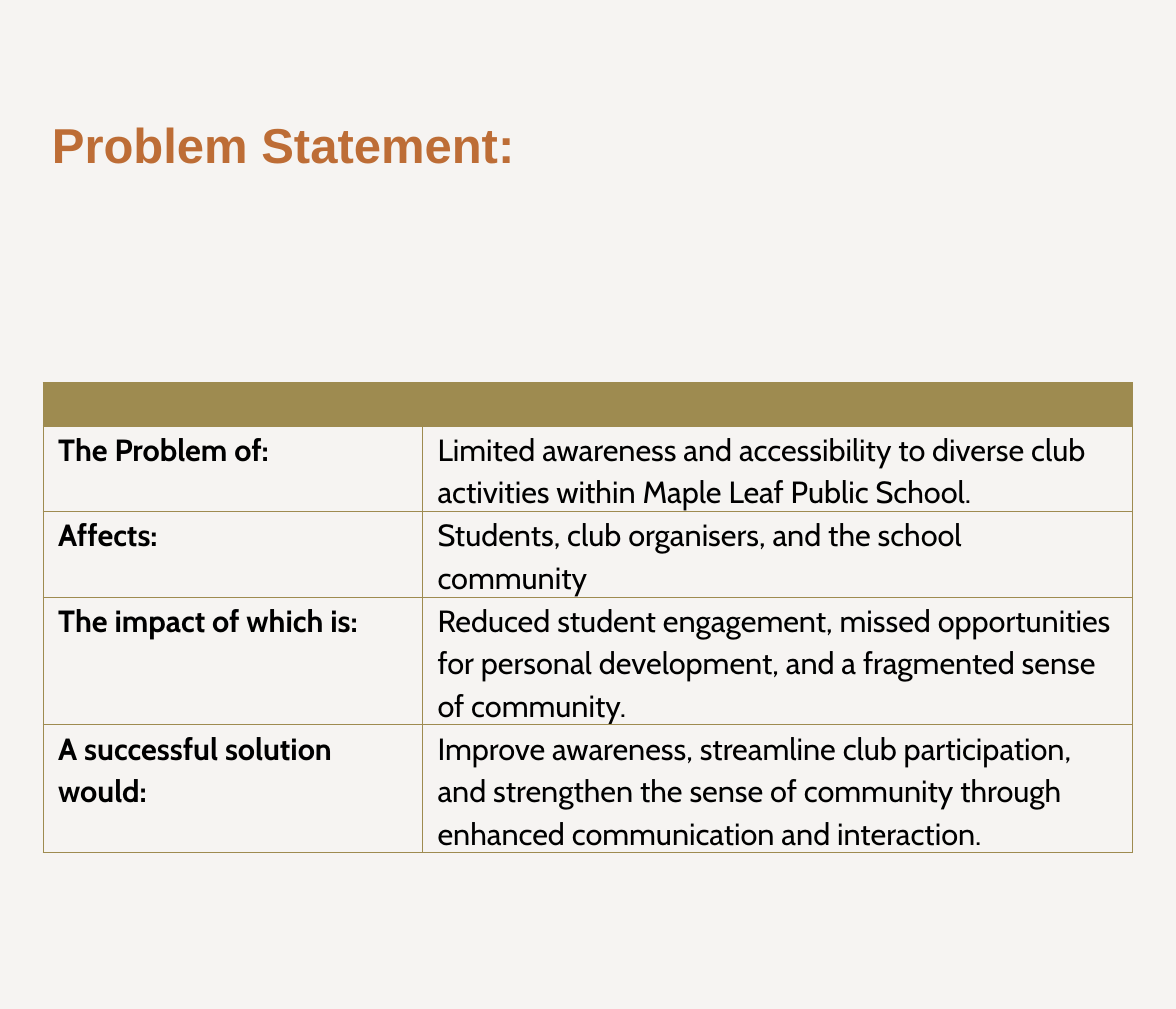
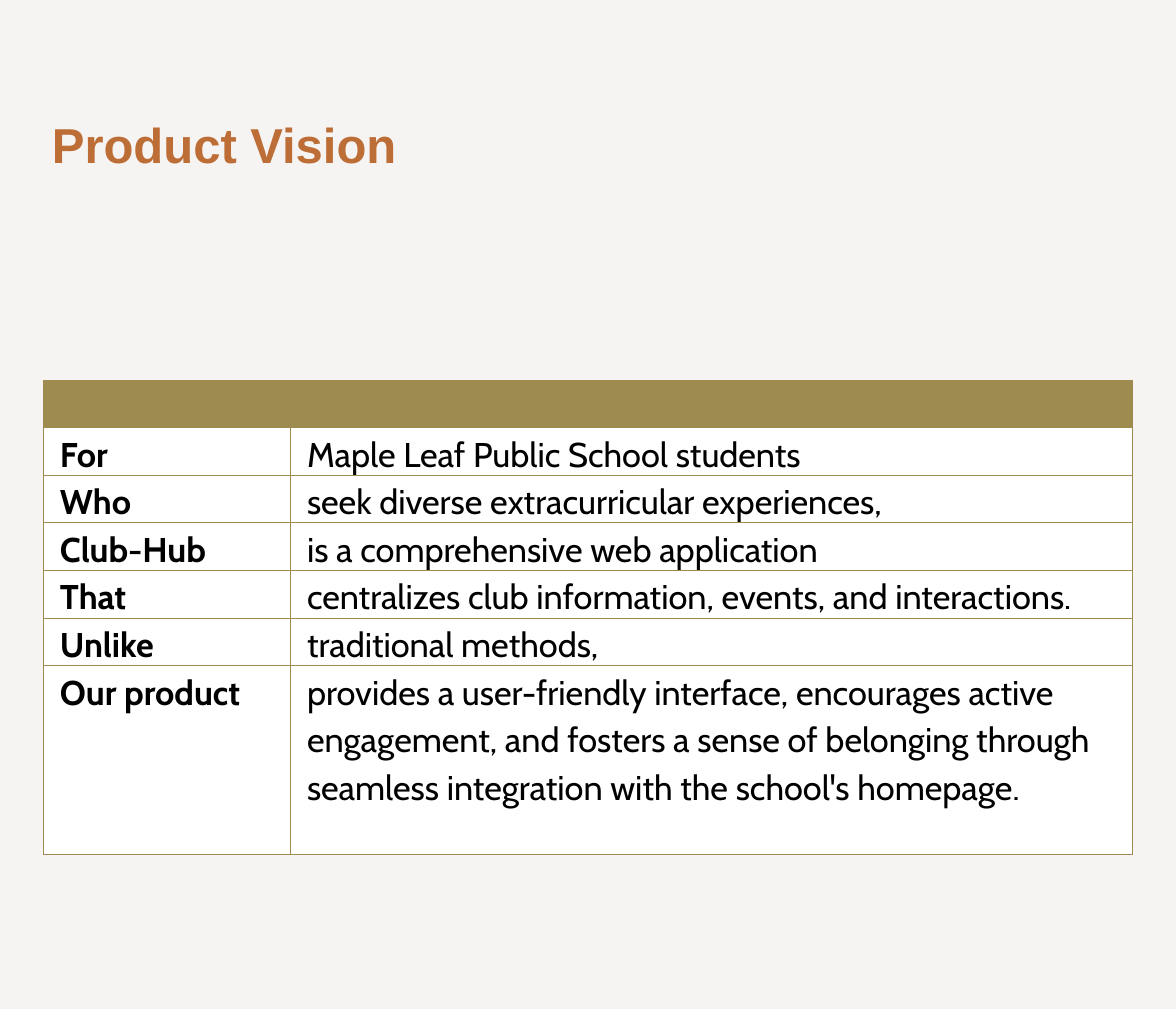
from lxml import etree
from pptx import Presentation
from pptx import util as u
from pptx.dml import color
from pptx.enum import text
from pptx.oxml import ns

PAPER, RUST, GOLD, INK, WHITE = "F6F4F2", "BD6D36", "9E8B50", "000000", "FFFFFF"
LEFT, WIDTH = 0.49, 12.35

PROBLEM = [
    ("The Problem of:",
     "Limited awareness and accessibility to diverse club activities within Maple Leaf Public School."),
    ("Affects:", "Students, club organisers, and the school community"),
    ("The impact of which is:",
     "Reduced student engagement, missed opportunities for personal development, "
     "and a fragmented sense of community."),
    ("A successful solution would:",
     "Improve awareness, streamline club participation, and strengthen the sense of community "
     "through enhanced communication and interaction."),
]
VISION = [
    ("For", "Maple Leaf Public School students"),
    ("Who", "seek diverse extracurricular experiences,"),
    ("Club-Hub", "is a comprehensive web application"),
    ("That", "centralizes club information, events, and interactions."),
    ("Unlike", "traditional methods,"),
    ("Our product",
     "provides a user-friendly interface, encourages active engagement, and fosters a sense of "
     "belonging through seamless integration with the school's homepage."),
]


def paint(fill, code):
    fill.solid()
    fill.fore_color.rgb = color.RGBColor.from_string(code)


def write(para, words, size, face, code, bold):
    run = para.add_run()
    run.text = words
    font = run.font
    font.size, font.name, font.bold = u.Pt(size), face, bold
    paint(font.fill, code)


def add_title(slide, words):
    box = slide.shapes.add_textbox(*map(u.Inches, (LEFT, 0.66, WIDTH, 1.36)))
    frame = box.text_frame
    frame.word_wrap = True
    frame.vertical_anchor = text.MSO_ANCHOR.BOTTOM
    write(frame.paragraphs[0], words, 40, "Arial", RUST, True)


def add_edges(cell):
    props = cell._tc.get_or_add_tcPr()
    for side in ("lnL", "lnR", "lnT", "lnB"):
        line = etree.SubElement(props, ns.qn("a:" + side), w=str(u.Pt(1)))
        fill = etree.SubElement(line, ns.qn("a:solidFill"))
        etree.SubElement(fill, ns.qn("a:srgbClr"), val=GOLD)


def fill_cell(cell, words, size, inset, bold):
    cell.margin_left = cell.margin_right = u.Inches(inset)
    cell.margin_top = cell.margin_bottom = 0
    para = cell.text_frame.paragraphs[0]
    para.line_spacing = 1.15
    para.space_after = u.Pt(10)
    write(para, words, size, "Cabin", INK, bold)


def add_grid(slide, pairs, top, first, heights, size, inset, back=None):
    frame = slide.shapes.add_table(
        len(heights), 2, *map(u.Inches, (LEFT, top, WIDTH, sum(heights))))
    table = frame.table
    table.first_row = table.horz_banding = False
    for col, width in zip(table.columns, (first, WIDTH - first)):
        col.width = u.Inches(width)
    for row, height in zip(table.rows, heights):
        row.height = u.Inches(height)
    for cell in table.iter_cells():
        add_edges(cell)
        if back:
            paint(cell.fill, back)
        else:
            cell.fill.background()
    for cell in table.rows[0].cells:
        paint(cell.fill, GOLD)
    for r, pair in enumerate(pairs, 1):
        for c, words in enumerate(pair):
            fill_cell(table.cell(r, c), words, size, inset, c == 0)


def add_page(deck, title):
    slide = deck.slides.add_slide(deck.slide_layouts[6])
    add_title(slide, title)
    return slide


def main():
    deck = Presentation()
    deck.slide_width, deck.slide_height = u.Inches(13.33), u.Inches(11.44)
    paint(deck.slide_master.background.fill, PAPER)
    add_grid(add_page(deck, "Problem Statement:"), PROBLEM, 4.34, 4.3,
             [0.49] + [0.97] * 2 + [1.45] * 2, 25, 0.17)
    add_grid(add_page(deck, "Product Vision"), VISION, 4.31, 2.8,
             [0.54] * 6 + [2.14], 28, 0.19, WHITE)
    deck.save("out.pptx")


if __name__ == "__main__":
    main()
